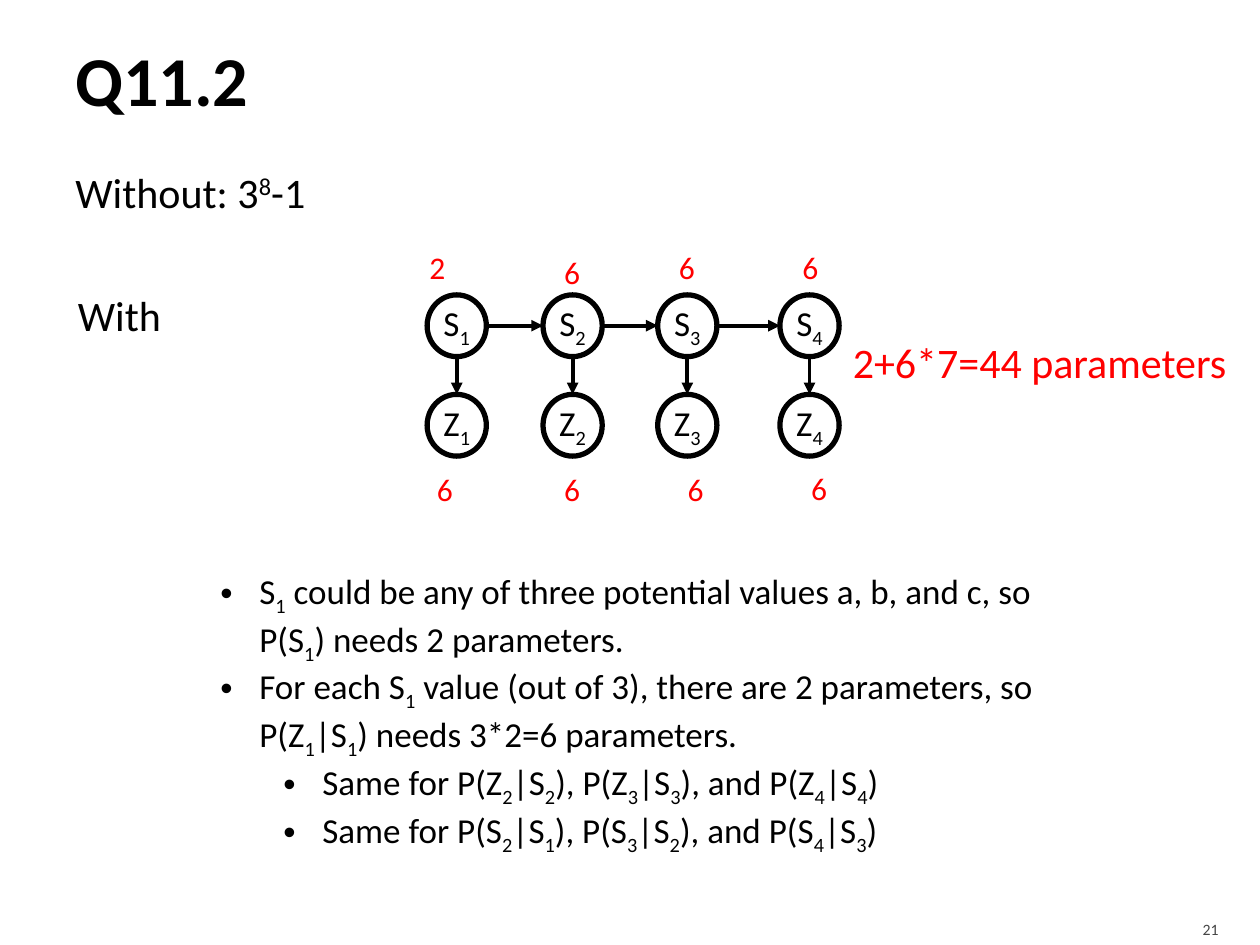
import pptx
import pptx.util
import pptx.dml.color
import pptx.enum.shapes
import pptx.enum.text
import pptx.oxml

Inches, Pt = pptx.util.Inches, pptx.util.Pt
ALIGN, ANCHOR = pptx.enum.text.PP_ALIGN, pptx.enum.text.MSO_ANCHOR
COLORS = {"text": "000000", "answer": "FF0000", "number": "454545"}
FONT = "Calibri"
SUB, SUPER = -25000, 30000

# Text between tildes is lowered (or raised, for the power).
TITLE = "Q11.2"
PAGE_NUMBER = "21"
WITHOUT = "Without: 3~8~-1"
WITH = "With"
TOTAL = "2+6*7=44 parameters"
BULLETS = [
    (0, "S~1~ could be any of three potential values a, b, and c, so P(S~1~) needs 2 parameters."),
    (0, "For each S~1~ value (out of 3), there are 2 parameters, so P(Z~1~|S~1~) needs 3*2=6 parameters."),
    (1, "Same for P(Z~2~|S~2~), P(Z~3~|S~3~), and P(Z~4~|S~4~)"),
    (1, "Same for P(S~2~|S~1~), P(S~3~|S~2~), and P(S~4~|S~3~)"),
]
# Each column: left of nodes, (count, left, top) above and below
COLUMNS = [
    (3.39, ("2", 3.31, 1.92), ("6", 3.37, 3.68)),
    (4.31, ("6", 4.38, 1.96), ("6", 4.38, 3.68)),
    (5.22, ("6", 5.29, 1.92), ("6", 5.36, 3.68)),
    (6.19, ("6", 6.27, 1.92), ("6", 6.34, 3.67)),
]
NODE_WIDTH, NODE_HEIGHT = 0.47, 0.49
STATE_TOP, OBSERVED_TOP = 2.34, 3.13
INDENT, LEVEL_STEP = 0.31, 0.5

deck = pptx.Presentation()
deck.slide_width, deck.slide_height = Inches(10), Inches(7.5)
page = deck.slides.add_slide(deck.slide_layouts[6])


def rgb(name):
    return pptx.dml.color.RGBColor.from_string(COLORS[name])


def add_xml(parent, tag, attributes=""):
    namespace = "http://schemas.openxmlformats.org/drawingml/2006/main"
    parent.append(pptx.oxml.parse_xml(f'<a:{tag} xmlns:a="{namespace}" {attributes}/>'))


def write(para, text, size=20, color="text", bold=False, align=ALIGN.LEFT, shift=SUB):
    para.alignment = align
    for index, part in enumerate(text.split("~")):
        if not part:
            continue
        span = para.add_run()
        span.text = part
        font = span.font
        font.name, font.size, font.bold = FONT, Pt(size), bold
        font.color.rgb = rgb(color)
        if index % 2:
            font._element.set("baseline", str(shift))


def add_text(at, text="", wrap=False, anchor=ANCHOR.TOP, bottom=0.05, **style):
    frame = page.shapes.add_textbox(*map(Inches, at)).text_frame
    frame.word_wrap = wrap
    frame.vertical_anchor = anchor
    frame.margin_bottom = Inches(bottom)
    if text:
        write(frame.paragraphs[0], text, **style)
    return frame


def add_node(left, top, text):
    node = page.shapes.add_shape(pptx.enum.shapes.MSO_SHAPE.OVAL, Inches(left), Inches(top),
                                 Inches(NODE_WIDTH), Inches(NODE_HEIGHT))
    node.shadow.inherit = False
    node.fill.background()
    node.line.color.rgb = rgb("text")
    node.line.width = Pt(3)
    frame = node.text_frame
    frame.margin_left = frame.margin_right = frame.margin_top = frame.margin_bottom = 0
    frame.vertical_anchor = ANCHOR.MIDDLE
    write(frame.paragraphs[0], text, align=ALIGN.CENTER)


def add_arrow(*ends):
    arrow = page.shapes.add_connector(pptx.enum.shapes.MSO_CONNECTOR.STRAIGHT, *map(Inches, ends))
    arrow.line.color.rgb = rgb("text")
    arrow.line.width = Pt(2.25)
    add_xml(arrow.line._get_or_add_ln(), "tailEnd", 'type="triangle"')
    add_xml(arrow._element.spPr, "effectLst")


add_text((0.5, 0.08, 9, 1.08), TITLE, wrap=True, anchor=ANCHOR.MIDDLE, size=40, bold=True)
add_text((8.97, 7.2, 0.8, 0.3), PAGE_NUMBER, wrap=True, anchor=ANCHOR.MIDDLE, bottom=0,
         size=9, color="number", align=ALIGN.RIGHT)
add_text((0.5, 1.27, 2.06, 0.5), WITHOUT, size=24, shift=SUPER)
add_text((0.52, 2.25, 0.87, 0.5), WITH, size=24)
add_text((6.67, 2.62, 3.2, 0.5), TOTAL, size=24, color="answer")

for number, (left, *counts) in enumerate(COLUMNS, start=1):
    add_node(left, STATE_TOP, f"S~{number}~")
    add_node(left, OBSERVED_TOP, f"Z~{number}~")
    center = left + NODE_WIDTH / 2
    add_arrow(center, STATE_TOP + NODE_HEIGHT, center, OBSERVED_TOP)
    if number < len(COLUMNS):
        middle = STATE_TOP + NODE_HEIGHT / 2
        add_arrow(left + NODE_WIDTH, middle, COLUMNS[number][0], middle)
    for count, x, y in counts:
        add_text((x, y, 0.33, 0.4), count, size=18, color="answer")

notes = add_text((1.65, 4.47, 6.68, 2.12), wrap=True)
for index, (level, text) in enumerate(BULLETS):
    para = notes.add_paragraph() if index else notes.paragraphs[0]
    para.level = level
    properties = para._p.get_or_add_pPr()
    properties.set("marL", str(Inches(INDENT + level * LEVEL_STEP)))
    properties.set("indent", str(-Inches(INDENT)))
    add_xml(properties, "buFont", 'typeface="Arial"')
    add_xml(properties, "buChar", 'char="•"')
    write(para, text)

deck.save("out.pptx")
